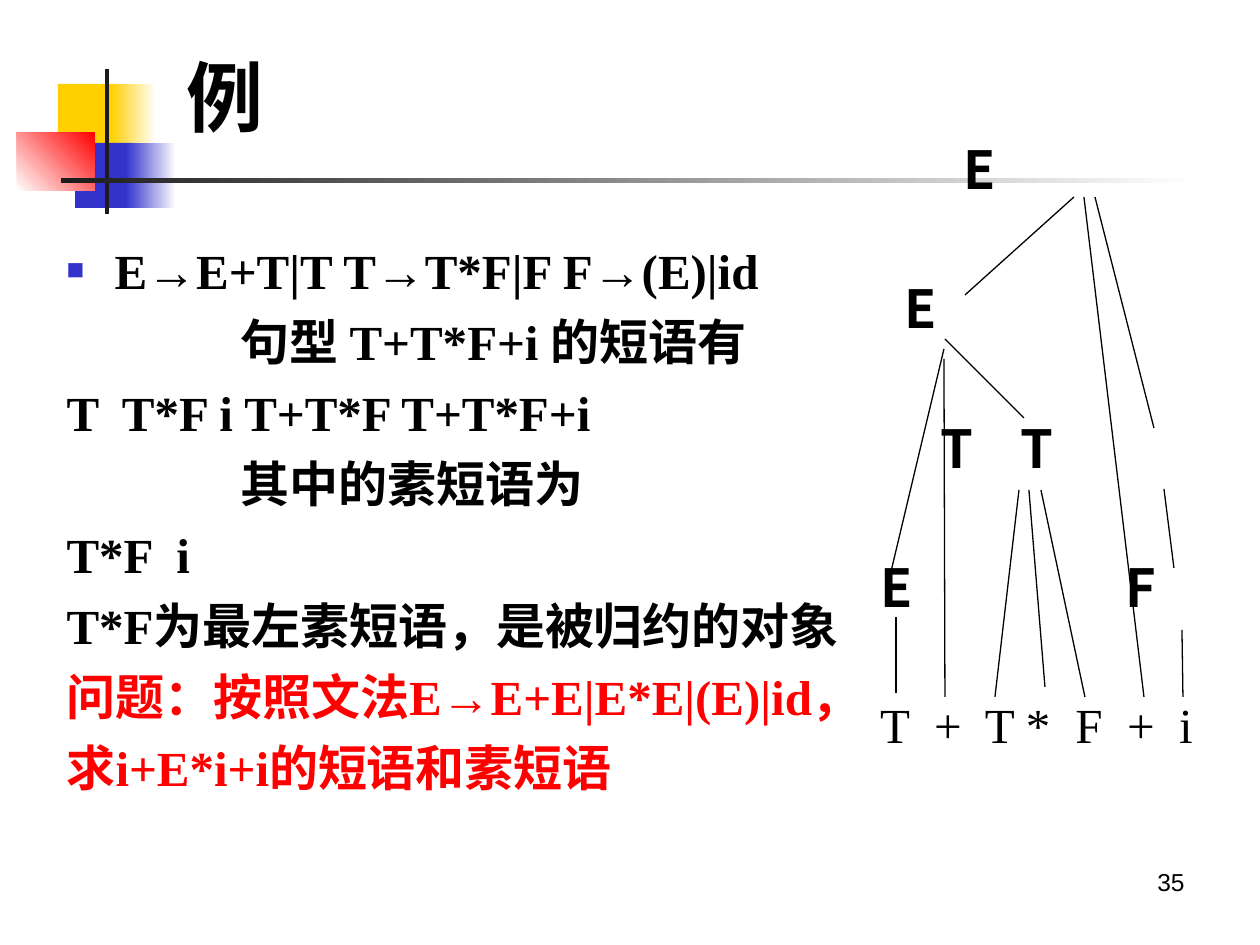
from lxml.etree import SubElement
from pptx import Presentation
from pptx.dml.color import RGBColor
from pptx.enum.shapes import MSO_CONNECTOR as Connector, MSO_SHAPE as Shape
from pptx.enum.text import MSO_ANCHOR as Anchor, MSO_AUTO_SIZE as AutoSize, PP_ALIGN as Align
from pptx.oxml.ns import qn
from pptx.util import Pt

PX = 914400 // 126
SERIF, SANS, PLAIN = "Times New Roman", "Noto Sans CJK SC", "Arial"
COLORS = {"yellow": "FFCF01", "blue": "3333CC", "red": "FF0000",
          "dark": "1C1C1C", "white": "FFFFFF", "black": "000000"}


def rgb(name):
    return RGBColor.from_string(COLORS[name])


def style(paragraph, font, size, bold=False, color="black"):
    """Format every run, with the sans face for Chinese characters."""
    for run in paragraph.runs:
        run.font.name, run.font.size, run.font.bold = font, Pt(size), bold
        run.font.color.rgb = rgb(color)
        SubElement(run.font._element, qn("a:ea"), typeface=SANS)


prs = Presentation()
prs.slide_width, prs.slide_height = 1260 * PX, 945 * PX
slide = prs.slides.add_slide(prs.slide_layouts[1])
shapes = slide.shapes

# Corner ornament and rule: left, top, width, height, start colour, end colour, angle
ornament = [
    (58, 84, 60, 66, "yellow", None, 0),
    (111, 84, 45, 66, "yellow", "white", 0),
    (75, 143, 58, 65, "blue", None, 0),
    (126, 143, 50, 65, "blue", "white", 0),
    (17, 132, 78, 59, "white", "red", 45),
    (105, 69, 4, 145, "dark", None, 0),
    (61, 178, 1134, 5, "dark", "white", 0),
]
for left, top, width, height, start, end, angle in ornament:
    block = shapes.add_shape(Shape.RECTANGLE, left * PX, top * PX, width * PX, height * PX)
    block.shadow.inherit = False
    block.line.fill.background()
    if end:
        block.fill.gradient()
        block.fill.gradient_angle = angle
        for stop, color in zip(block.fill.gradient_stops, (start, end)):
            stop.color.rgb = rgb(color)
    else:
        block.fill.solid()
        block.fill.fore_color.rgb = rgb(start)

title = shapes.title
title.left, title.top, title.width, title.height = 174 * PX, 46 * PX, 198 * PX, 100 * PX
title.text_frame.text = "例"
title.text_frame.vertical_anchor = Anchor.MIDDLE
title.text_frame.paragraphs[0].alignment = Align.LEFT
style(title.text_frame.paragraphs[0], SERIF, 44, True)

# Body lines: text (items set apart by en and em spaces), left margin, colour
lines = [
    ("E→E+T|T T→T*F|F F→(E)|id", 48, "black"),
    ("句型 T+T*F+i 的短语有", 174, "black"),
    ("T  T*F i T+T*F T+T*F+i", 0, "black"),
    ("其中的素短语为", 174, "black"),
    ("T*F  i", 0, "black"),
    ("T*F为最左素短语，是被归约的对象", 0, "black"),
    ("问题：按照文法E→E+E|E*E|(E)|id，", 0, "red"),
    ("求i+E*i+i的短语和素短语", 0, "red"),
]
body = slide.placeholders[1]
body.left, body.top, body.width, body.height = 54 * PX, 234 * PX, 873 * PX, 616 * PX
body.text_frame.auto_size = AutoSize.NONE
body.text_frame.text = "\n".join(line[0] for line in lines)
for index, (paragraph, line) in enumerate(zip(body.text_frame.paragraphs, lines)):
    text, margin, color = line
    paragraph.line_spacing = Pt(33.6)
    paragraph.space_before = Pt(7 if index else 0)
    props = paragraph._p.get_or_add_pPr()
    props.set("marL", str(margin * PX))
    props.set("indent", str(0 if index else -margin * PX))
    if index == 0:
        bullet_color = SubElement(props, qn("a:buClr"))
        SubElement(bullet_color, qn("a:srgbClr"), val=COLORS["blue"])
        SubElement(props, qn("a:buSzPct"), val="60000")
        SubElement(props, qn("a:buChar"), char="■")
    else:
        SubElement(props, qn("a:buNone"))
    style(paragraph, SERIF, 28, True, color)

# Parse tree symbols: text and centre, inner nodes first, then the sentential form
nodes = [("E", 980, 169), ("E", 921, 308), ("T", 957, 448), ("T", 1037, 448),
         ("E", 897, 587), ("F", 1141, 587)]
leaves = [("T", 895, 724), ("+", 948, 724), ("T", 1000, 724), ("*", 1038, 724),
          ("F", 1089, 724), ("+", 1141, 724), ("i", 1186, 724)]
BOX_W, BOX_H = 36, 76
for symbols, font, size, bold in ((nodes, SANS, 30, True), (leaves, SERIF, 28, False)):
    for text, x, y in symbols:
        label = shapes.add_textbox((x - BOX_W // 2) * PX, (y - BOX_H // 2) * PX,
                                   BOX_W * PX, BOX_H * PX)
        frame = label.text_frame
        frame.margin_left = frame.margin_right = frame.margin_top = frame.margin_bottom = 0
        frame.word_wrap = True
        frame.vertical_anchor = Anchor.MIDDLE
        frame.text = text
        frame.paragraphs[0].alignment = Align.CENTER
        style(frame.paragraphs[0], font, size, bold)

# Parse tree branches: x and y of the lower end, then of the upper end
branches = [
    (896, 693, 896, 617), (1183, 697, 1182, 630), (995, 697, 1019, 490),
    (1045, 687, 1029, 490), (1085, 697, 1041, 490), (890, 576, 944, 349),
    (945, 697, 944, 359), (1024, 418, 945, 339), (1144, 697, 1084, 197),
    (965, 295, 1074, 197), (1154, 428, 1095, 197), (1174, 568, 1164, 489),
]
for ends in branches:
    branch = shapes.add_connector(Connector.STRAIGHT, *(value * PX for value in ends))
    branch.line.color.rgb = rgb("black")
    branch.line.width = Pt(0.75)
    SubElement(branch._element.spPr, qn("a:effectLst"))

page = shapes.add_textbox(903 * PX, 861 * PX, 294 * PX, 66 * PX)
page.text_frame.word_wrap = True
page.text_frame.text = "35"
page.text_frame.paragraphs[0].alignment = Align.RIGHT
style(page.text_frame.paragraphs[0], PLAIN, 14)

prs.save("out.pptx")
